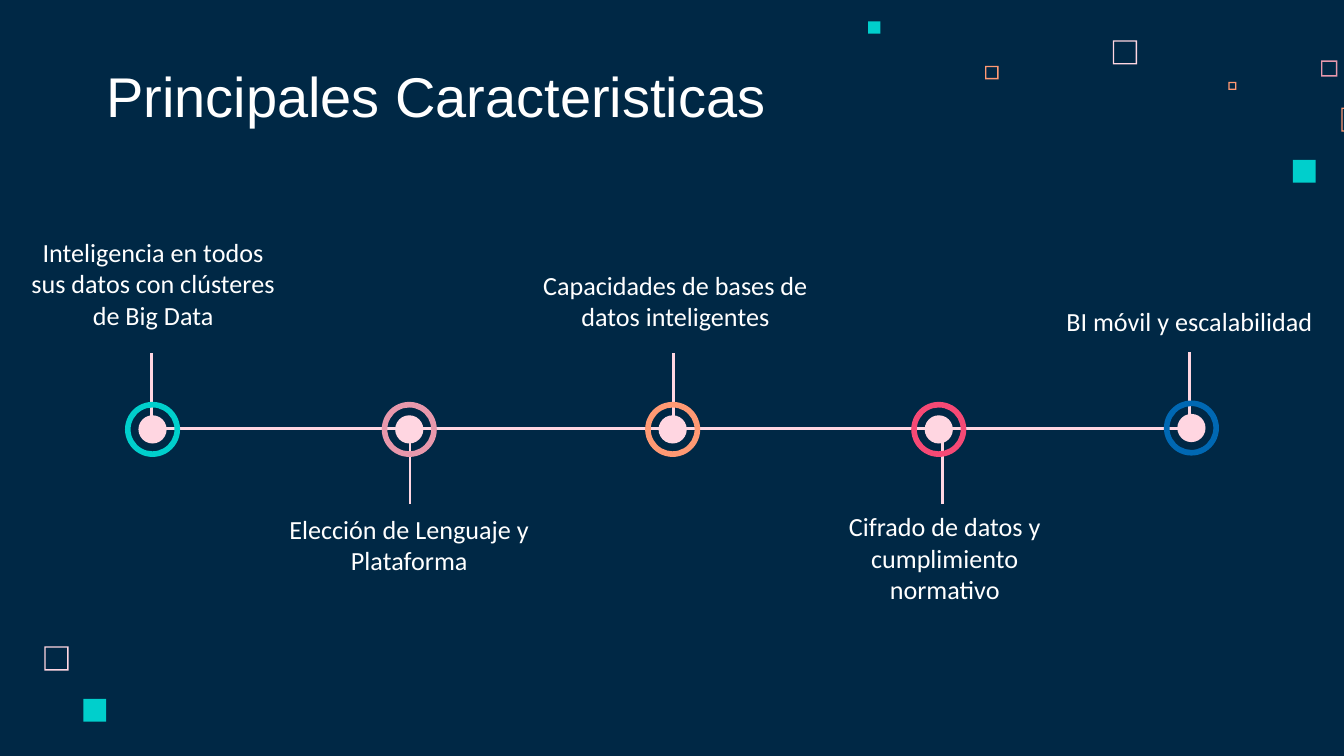
from pptx import Presentation
from pptx.dml.color import RGBColor
from pptx.enum import shapes, text
from pptx.oxml.ns import qn
from pptx.util import Inches, Pt

COLORS = {
    "navy": "002845", "white": "FFFFFF", "blush": "FFD6E1", "rose": "E898AC",
    "orange": "FF9973", "teal": "00CFCC", "red": "F64975", "blue": "0068B3",
}
KIND = shapes.MSO_SHAPE
TOP, BOTTOM = text.MSO_ANCHOR.TOP, text.MSO_ANCHOR.BOTTOM

prs = Presentation()
prs.slide_width = Inches(10)
prs.slide_height = Inches(10) * 9 // 16
slide = prs.slides.add_slide(prs.slide_layouts[5])
slide.background.fill.solid()
slide.background.fill.fore_color.rgb = RGBColor.from_string(COLORS["navy"])


def add_figure(kind, left, top, size, color, band=None):
    """Add a borderless figure; band is its ring thickness relative to its size."""
    figure = slide.shapes.add_shape(
        kind, Inches(left), Inches(top), Inches(size), Inches(size))
    figure.shadow.inherit = False
    figure.fill.solid()
    figure.fill.fore_color.rgb = RGBColor.from_string(COLORS[color])
    figure.line.fill.background()
    if band:
        figure.adjustments[0] = band


def write(frame, wording, font, size, align, anchor):
    """Fill a text frame with one white run."""
    frame.word_wrap = True
    frame.auto_size = text.MSO_AUTO_SIZE.NONE
    frame.vertical_anchor = anchor
    frame.margin_left = frame.margin_right = Inches(0.1)
    frame.margin_top = frame.margin_bottom = Inches(0.1)
    paragraph = frame.paragraphs[0]
    paragraph.alignment = align
    run = paragraph.add_run()
    run.text = wording
    run.font.name, run.font.size = font, Pt(size)
    run.font.color.rgb = RGBColor.from_string(COLORS["white"])


# Decorative squares: left, top, size, color
hollow_squares = [
    (8.28, 0.3, 0.18, "blush"), (9.83, 0.45, 0.12, "rose"),
    (9.14, 0.61, 0.06, "orange"), (9.98, 0.8, 0.18, "orange"),
    (7.33, 0.49, 0.1, "orange"), (0.33, 4.81, 0.18, "blush"),
]
for left, top, size, color in hollow_squares:
    add_figure(KIND.FRAME, left, top, size, color, 0.01 / size)
for left, top, size in [(9.62, 1.19, 0.17), (6.46, 0.16, 0.09), (0.62, 5.2, 0.17)]:
    add_figure(KIND.RECTANGLE, left, top, size, "teal")

title = slide.shapes.title
title.left, title.top = Inches(0.69), Inches(0.43)
title.width, title.height = Inches(5.17), Inches(0.63)
write(title.text_frame, "Principales Caracteristicas", "Arial", 30,
      text.PP_ALIGN.LEFT, BOTTOM)

# Timeline axis and the stem of each milestone: x1, y1, x2, y2
lines = [
    (1.13, 2.63, 1.13, 3.13), (3.05, 3.26, 3.05, 3.75),
    (5.01, 2.63, 5.01, 3.13), (7.01, 3.26, 7.01, 3.75),
    (8.85, 2.62, 8.85, 3.12), (1.13, 3.19, 8.87, 3.19),
]
for ends in lines:
    line = slide.shapes.add_connector(
        shapes.MSO_CONNECTOR.STRAIGHT, *[Inches(end) for end in ends])
    line.line.color.rgb = RGBColor.from_string(COLORS["blush"])
    line.line.width = Pt(1.5)
    properties = line._element.spPr
    properties.append(properties.makeelement(qn("a:effectLst"), {}))

# Milestones: ring left, ring top, ring color, label left, top, width, anchor, wording
milestones = [
    (0.93, 2.99, "teal", 0.11, 1.85, 2.06, BOTTOM,
     "Inteligencia en todos sus datos con clústeres de Big Data"),
    (2.84, 2.99, "rose", 1.89, 3.72, 2.31, TOP, "Elección de Lenguaje y Plataforma"),
    (4.8, 2.99, "orange", 3.87, 1.86, 2.31, BOTTOM,
     "Capacidades de bases de datos inteligentes"),
    (6.78, 2.99, "red", 6, 3.7, 2.06, TOP, "Cifrado de datos y cumplimiento normativo"),
    (8.66, 2.98, "blue", 7.82, 2.17, 2.06, TOP, "BI móvil y escalabilidad"),
]
for ring_left, ring_top, color, left, top, width, anchor, wording in milestones:
    add_figure(KIND.OVAL, ring_left + 0.1, ring_top + 0.1, 0.21, "blush")
    add_figure(KIND.DONUT, ring_left, ring_top, 0.41, color, 0.102)
    label = slide.shapes.add_textbox(
        Inches(left), Inches(top), Inches(width), Inches(0.71))
    write(label.text_frame, wording, "Calibri", 14, text.PP_ALIGN.CENTER, anchor)

prs.save("out.pptx")
